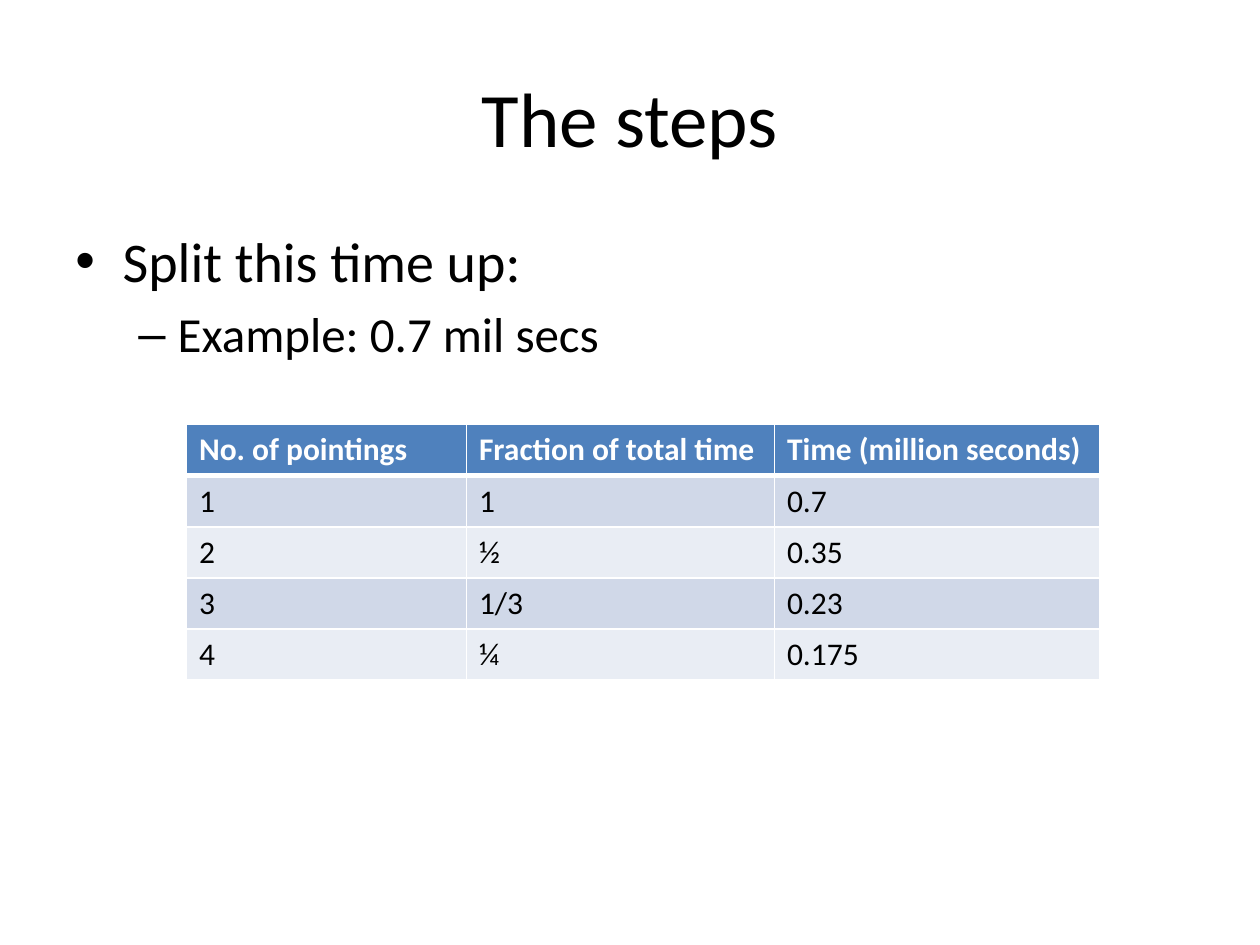
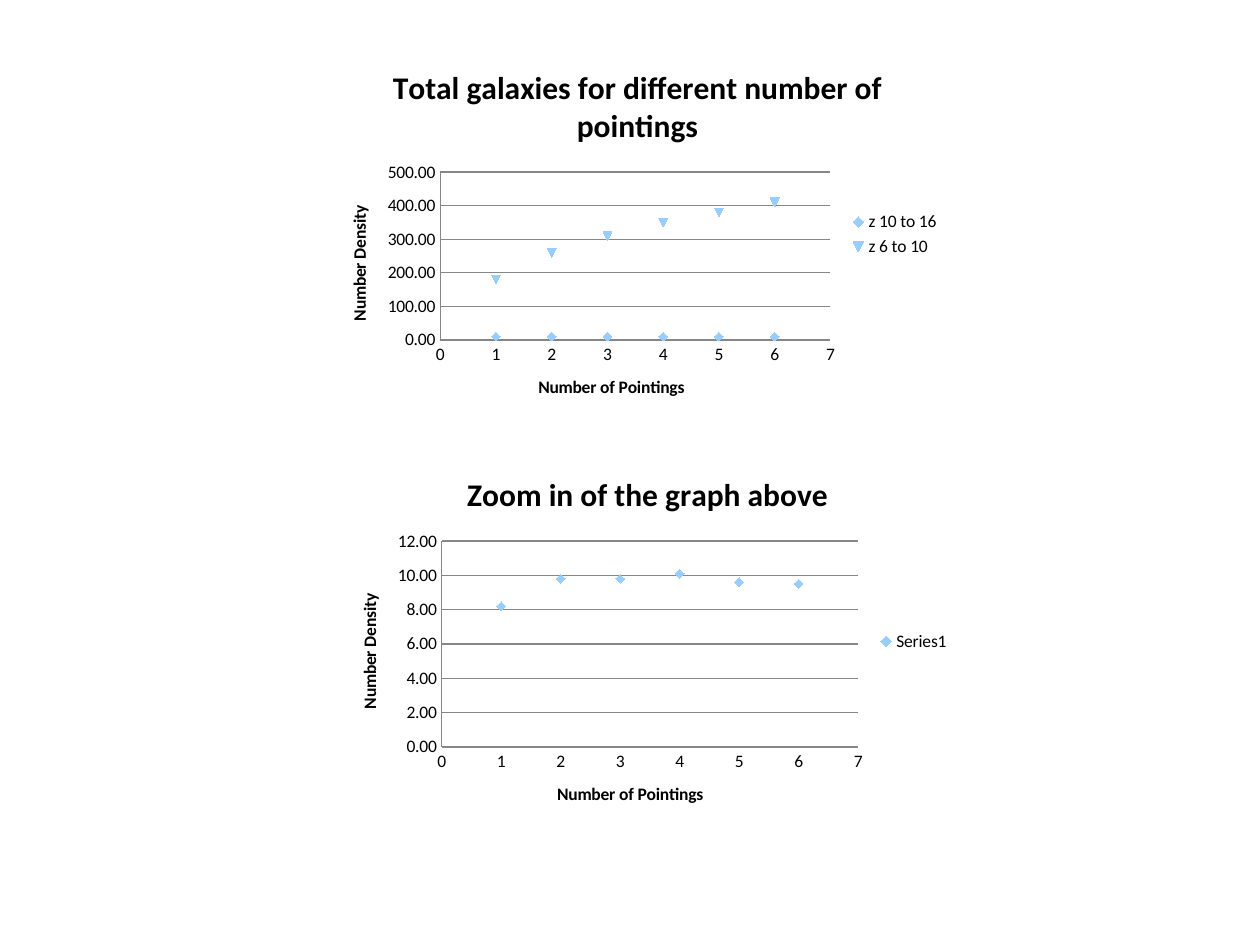
from dataclasses import dataclass
from typing import Any

from lxml import etree
from pptx import Presentation
from pptx.chart.data import XyChartData
from pptx.dml.color import RGBColor
from pptx.enum import chart as ce, text as te
from pptx.oxml.ns import qn
from pptx.util import Pt

BLACK = RGBColor(0x00, 0x00, 0x00)
WHITE = RGBColor(0xFF, 0xFF, 0xFF)
HEADER_BLUE = RGBColor(0x4F, 0x81, 0xBD)
BAND_DARK = RGBColor(0xD0, 0xD8, 0xE8)
BAND_LIGHT = RGBColor(0xE9, 0xED, 0xF4)
MARKER_BLUE = RGBColor(0x99, 0xCC, 0xFF)
AXIS_GREY = RGBColor(0x87, 0x87, 0x87)
FONT = "Calibri"


@dataclass(frozen=True)
class Box:
    left: float
    top: float
    width: float
    height: float

    def lengths(self) -> tuple[Pt, Pt, Pt, Pt]:
        return Pt(self.left), Pt(self.top), Pt(self.width), Pt(self.height)


@dataclass(frozen=True)
class Bullet:
    text: str
    mark: str
    size: float
    margin: float
    hanging: float
    space_before: float


@dataclass(frozen=True)
class ScatterPlot:
    title: str
    box: Box
    series: dict[str, list[float]]
    top_value: float
    step: float


TITLE_BOX = Box(36, 21.6, 648, 90)
BODY_BOX = Box(36, 126, 648, 356.4)
BULLETS = [
    Bullet("Split this time up:", "•", 32, 27, 27, 0),
    Bullet("Example: 0.7 mil secs", "–", 28, 58.5, 22.5, 5.6),
]

TABLE_LEFT, TABLE_TOP, ROW_HEIGHT = 106.56, 242.64, 29.2
COLUMN_WIDTHS = [160, 176, 186]
POINTINGS = [
    ["No. of pointings", "Fraction of total time", "Time (million seconds)"],
    ["1", "1", "0.7"],
    ["2", "½", "0.35"],
    ["3", "1/3", "0.23"],
    ["4", "¼", "0.175"],
]

PLOTS = [
    ScatterPlot(
        "Total galaxies for different number of pointings",
        Box(184.32, 25.92, 360, 216),
        {"z 10 to 16": [10] * 6, "z 6 to 10": [180, 260, 310, 350, 380, 410]},
        500, 100,
    ),
    ScatterPlot(
        "Zoom in of the graph above",
        Box(190.08, 258.48, 360, 216),
        {"Series1": [8.2, 9.8, 9.8, 10.1, 9.6, 9.5]},
        12, 2,
    ),
]


def apply(target: Any, **values: Any) -> None:
    for attribute, value in values.items():
        setattr(target, attribute, value)


def set_font(font: Any, size: float, color: RGBColor = BLACK, bold: bool = False) -> None:
    apply(font, name=FONT, size=Pt(size), bold=bold)
    font.color.rgb = color


def add_text_frame(slide: Any, box: Box, anchor: te.MSO_ANCHOR) -> Any:
    frame = slide.shapes.add_textbox(*box.lengths()).text_frame
    apply(frame, word_wrap=True, vertical_anchor=anchor)
    return frame


def add_title(slide: Any, title: str) -> None:
    heading = add_text_frame(slide, TITLE_BOX, te.MSO_ANCHOR.MIDDLE).paragraphs[0]
    apply(heading, text=title, alignment=te.PP_ALIGN.CENTER)
    set_font(heading.font, 44)


def add_bullets(slide: Any, bullets: list[Bullet]) -> None:
    frame = add_text_frame(slide, BODY_BOX, te.MSO_ANCHOR.TOP)
    for index, bullet in enumerate(bullets):
        line = frame.add_paragraph() if index else frame.paragraphs[0]
        apply(line, text=bullet.text, space_before=Pt(bullet.space_before))
        properties = line._p.get_or_add_pPr()
        properties.set("marL", str(Pt(bullet.margin)))
        properties.set("indent", str(-Pt(bullet.hanging)))
        etree.SubElement(properties, qn("a:buFont"), typeface="Arial")
        etree.SubElement(properties, qn("a:buChar"), char=bullet.mark)
        set_font(line.font, bullet.size)


def add_borders(cell: Any, top: float, bottom: float) -> None:
    """Draw white cell borders; call before the cell is filled."""
    properties = cell._tc.get_or_add_tcPr()
    for side, width in {"L": 1, "R": 1, "T": top, "B": bottom}.items():
        border = etree.SubElement(properties, qn(f"a:ln{side}"), w=str(Pt(width)))
        fill = etree.SubElement(border, qn("a:solidFill"))
        etree.SubElement(fill, qn("a:srgbClr"), val=str(WHITE))


def add_pointings_table(slide: Any) -> None:
    box = Box(TABLE_LEFT, TABLE_TOP, sum(COLUMN_WIDTHS), ROW_HEIGHT * len(POINTINGS))
    table = slide.shapes.add_table(
        len(POINTINGS), len(COLUMN_WIDTHS), *box.lengths()
    ).table
    for column, width in zip(table.columns, COLUMN_WIDTHS):
        column.width = Pt(width)
    for row, values in enumerate(POINTINGS):
        header = row == 0
        band = HEADER_BLUE if header else BAND_DARK if row % 2 else BAND_LIGHT
        for column, value in enumerate(values):
            cell = table.cell(row, column)
            cell.text = value
            add_borders(cell, top=3 if row == 1 else 1, bottom=3 if header else 1)
            cell.fill.solid()
            cell.fill.fore_color.rgb = band
            set_font(
                cell.text_frame.paragraphs[0].font, 18, WHITE if header else BLACK, header
            )


def set_chart_title(owner: Any, title: str, size: float) -> None:
    """Title a chart or one of its axes."""
    owner.has_title = True
    frame = (owner.chart_title if hasattr(owner, "chart_title") else owner.axis_title).text_frame
    frame.text = title
    set_font(frame.paragraphs[0].runs[0].font, size, bold=True)


def format_axis(axis: Any, title: str, maximum: float, step: float, number_format: str) -> None:
    apply(
        axis,
        minimum_scale=0,
        maximum_scale=maximum,
        major_unit=step,
        major_tick_mark=ce.XL_TICK_MARK.NONE,
        minor_tick_mark=ce.XL_TICK_MARK.NONE,
    )
    apply(axis.tick_labels, number_format=number_format, number_format_is_linked=False)
    set_font(axis.tick_labels.font, 10)
    apply(axis.format.line, width=Pt(0.75))
    axis.format.line.color.rgb = AXIS_GREY
    set_chart_title(axis, title, 10)


def add_scatter(slide: Any, plot: ScatterPlot) -> None:
    data = XyChartData()
    for name, densities in plot.series.items():
        series = data.add_series(name)
        for pointings, density in enumerate(densities, 1):
            series.add_data_point(pointings, density)
    chart = slide.shapes.add_chart(
        ce.XL_CHART_TYPE.XY_SCATTER, *plot.box.lengths(), data
    ).chart
    set_font(chart.font, 10)
    set_chart_title(chart, plot.title, 18)

    chart.has_legend = True
    apply(chart.legend, position=ce.XL_LEGEND_POSITION.RIGHT, include_in_layout=False)
    set_font(chart.legend.font, 10)

    format_axis(chart.category_axis, "Number of Pointings", 7, 1, "General")
    format_axis(chart.value_axis, "Number Density", plot.top_value, plot.step, "0.00")
    chart.category_axis.has_major_gridlines = False
    chart.value_axis.has_major_gridlines = True
    gridline = chart.value_axis.major_gridlines.format.line
    gridline.width = Pt(0.75)
    gridline.color.rgb = AXIS_GREY

    chart.plots[0].vary_by_categories = False
    for series in chart.plots[0].series:
        series.format.line.fill.background()
        series.marker.style = ce.XL_MARKER_STYLE.AUTOMATIC
        marker_fill = series.marker.format.fill
        marker_fill.solid()
        marker_fill.fore_color.rgb = MARKER_BLUE


def main() -> None:
    deck = Presentation()
    apply(deck, slide_width=Pt(720), slide_height=Pt(540))
    blank = deck.slide_layouts[6]

    steps = deck.slides.add_slide(blank)
    add_title(steps, "The steps")
    add_bullets(steps, BULLETS)
    add_pointings_table(steps)

    densities = deck.slides.add_slide(blank)
    for plot in PLOTS:
        add_scatter(densities, plot)

    deck.save("out.pptx")


if __name__ == "__main__":
    main()
